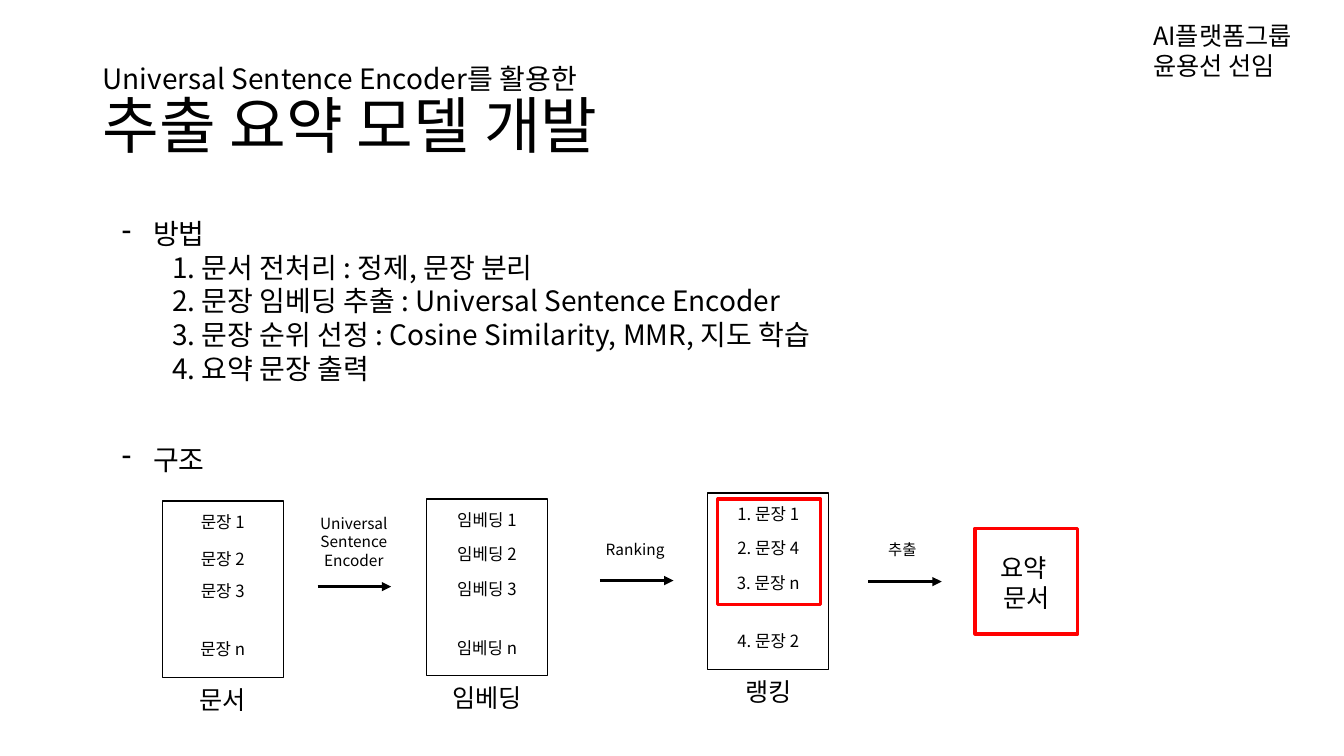
from lxml.etree import SubElement
from pptx import Presentation
from pptx.dml.color import RGBColor
from pptx.enum.shapes import MSO_CONNECTOR, MSO_SHAPE
from pptx.enum.text import MSO_ANCHOR, MSO_AUTO_SIZE, PP_ALIGN
from pptx.oxml.ns import qn
from pptx.util import Emu, Pt

BLACK = RGBColor(0x00, 0x00, 0x00)
RED = RGBColor(0xFF, 0x00, 0x00)
FONT = "Noto Sans CJK KR"
PX = 9144


def px(*lengths):
    return [Emu(length * PX) for length in lengths]


def assign(target, values):
    for name, value in values.items():
        setattr(target, name, value)


class SlideBuilder:
    def __init__(self, slide):
        self.shapes = slide.shapes
        self.frame_format = {"word_wrap": True, "auto_size": MSO_AUTO_SIZE.SHAPE_TO_FIT_TEXT}
        self.font_format = {"name": FONT}

    def run(self, paragraph, text, size):
        run = paragraph.add_run()
        run.text = text
        assign(run.font, {**self.font_format, "size": Pt(size)})
        run.font.color.rgb = BLACK
        SubElement(run.font._element, qn("a:ea"), typeface=FONT)

    def text(self, box, lines, size, align=PP_ALIGN.LEFT):
        frame = self.shapes.add_textbox(*px(*box)).text_frame
        assign(frame, self.frame_format)
        for index, line in enumerate(lines):
            paragraph = frame.add_paragraph() if index else frame.paragraphs[0]
            paragraph.alignment = align
            self.run(paragraph, line, size)
        return frame

    def label(self, box, lines, size):
        return self.text(box, lines, size, PP_ALIGN.CENTER)

    def title(self, box, lead, heading):
        frame = self.shapes.add_textbox(*px(*box)).text_frame
        assign(frame, {"word_wrap": True, "vertical_anchor": MSO_ANCHOR.MIDDLE})
        paragraph = frame.paragraphs[0]
        paragraph.line_spacing = 0.9
        self.run(paragraph, lead, 20)
        paragraph.add_line_break()
        self.run(paragraph, heading, 44)

    def section(self, box, heading, steps=()):
        paragraphs = self.text(box, [heading, *steps], 20).paragraphs
        margin, step_margin = px(31, 50)
        properties = paragraphs[0]._p.get_or_add_pPr()
        properties.set("marL", str(margin))
        properties.set("indent", str(-margin))
        SubElement(properties, qn("a:buChar"), char="-")
        for paragraph in paragraphs[1:]:
            paragraph.level = 1
            paragraph._p.get_or_add_pPr().set("marL", str(step_margin))

    def frame(self, box, color, width):
        shape = self.shapes.add_shape(MSO_SHAPE.RECTANGLE, *px(*box))
        shape.shadow.inherit = False
        shape.fill.background()
        shape.line.color.rgb = color
        shape.line.width = Pt(width)

    def arrow(self, left, top, length):
        connector = self.shapes.add_connector(
            MSO_CONNECTOR.STRAIGHT, *px(left, top, left + length, top))
        connector.line.color.rgb = BLACK
        connector.line.width = Pt(2.25)
        SubElement(connector.line._get_or_add_ln(), qn("a:tailEnd"), type="triangle")
        SubElement(connector._element.spPr, qn("a:effectLst"))

    def stage(self, left, top, name, rows, offsets):
        self.frame((left, top, 120, 175), BLACK, 1)
        self.label((left, top + 177, 120, 40), [name], 18)
        for row, offset in zip(rows, offsets):
            self.label((left, top + offset, 120, 30), [row], 12)


STAGES = [
    (161, 497, "문서", ["문장 1", "문장 2", "문장 3", "문장 n"], (6, 42, 74, 132)),
    (423, 495, "임베딩", ["임베딩 1", "임베딩 2", "임베딩 3", "임베딩 n"], (6, 40, 74, 133)),
    (702, 489, "랭킹", ["1. 문장 1", "2. 문장 4", "3. 문장 n", "4. 문장 2"], (6, 40, 74, 132)),
]
ARROWS = [
    (315, 582, (298, 505, 106, 66), "Universal Sentence Encoder"),
    (595, 576, (577, 531, 106, 29), "Ranking"),
    (861, 577, (842, 531, 106, 29), "추출"),
]
STEPS = [
    "1. 문서 전처리 : 정제, 문장 분리",
    "2. 문장 임베딩 추출 : Universal Sentence Encoder",
    "3. 문장 순위 선정 : Cosine Similarity, MMR, 지도 학습",
    "4. 요약 문장 출력",
]


def main():
    presentation = Presentation()
    width, height = px(1333, 750)
    assign(presentation, {"slide_width": width, "slide_height": height})
    builder = SlideBuilder(presentation.slides.add_slide(presentation.slide_layouts[6]))

    builder.title((92, 40, 1150, 145), "Universal Sentence Encoder를 활용한", "추출 요약 모델 개발")
    builder.text((1134, 15, 214, 71), ["AI플랫폼그룹", "윤용선 선임"], 18)
    builder.section((111, 210, 1024, 178), "방법", STEPS)
    builder.section((111, 434, 1024, 44), "구조")

    for stage in STAGES:
        builder.stage(*stage)
    for left, top, box, caption in ARROWS:
        builder.arrow(left, top, 73)
        builder.label(box, [caption], 11)
    for left, top in [(712, 495), (967, 524)]:
        builder.frame((left, top, 102, 105), RED, 2.25)
    builder.label((958, 543, 120, 71), ["요약 ", "문서"], 18)

    presentation.save("out.pptx")


if __name__ == "__main__":
    main()
